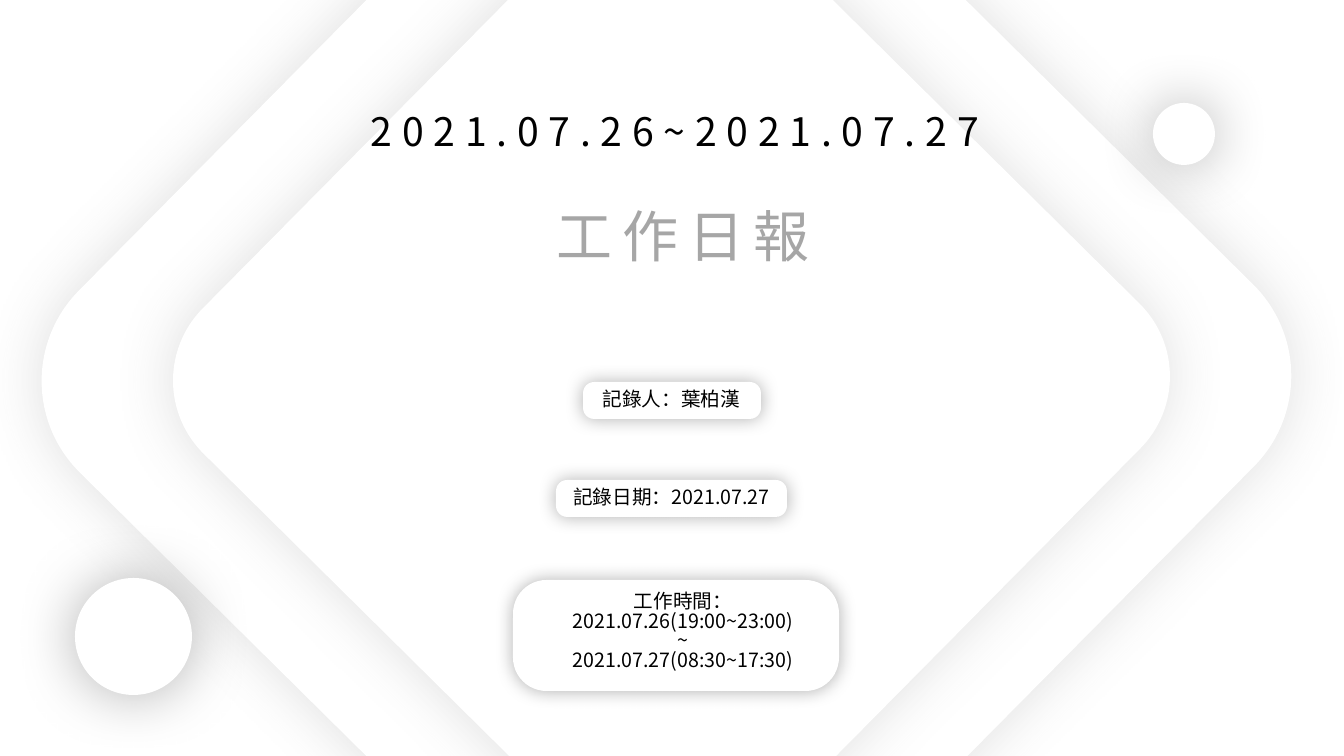
from lxml import etree
from pptx import Presentation
from pptx.dml.color import RGBColor
from pptx.enum.shapes import MSO_SHAPE
from pptx.enum.text import MSO_ANCHOR, MSO_AUTO_SIZE, PP_ALIGN
from pptx.oxml.ns import qn
from pptx.util import Pt

ROUNDED, OVAL = MSO_SHAPE.ROUNDED_RECTANGLE, MSO_SHAPE.OVAL
TOP, CENTER = MSO_ANCHOR.TOP, PP_ALIGN.CENTER
FIXED = MSO_AUTO_SIZE.NONE

# Content: boxes are (left, top, width, height) in px
PERIOD = {"lines": ["2021.07.26~2021.07.27"], "box": (308, 107, 734, 57)}
HEADING = {"lines": ["工作日報"], "box": (444, 203, 479, 78)}
CARDS = [
    {"panel": (583, 382, 178, 37), "box": (566, 384, 211, 34),
     "lines": ["記錄人：葉柏漢"]},
    {"panel": (556, 480, 231, 37), "box": (550, 482, 243, 34),
     "lines": ["記錄日期：2021.07.27"]},
    {"panel": (513, 580, 326, 111), "box": (516, 586, 334, 105),
     "lines": ["工作時間：", "2021.07.26(19:00~23:00)", "~",
               "2021.07.27(08:30~17:30)"]},
]
DIAMONDS = [(187, -101, 959, 959), (289, -4, 765, 765)]
DISCS = [(75, 578, 117, 117), (1153, 103, 62, 62)]

COLORS = {"white": "FFFFFF", "black": "000000", "grey": "A6A6A6",
          "smoke": "595959"}
FONT = "Noto Sans CJK SC"
LINE_SPACING = 0.83
SLIDE_SIZE = (1344, 756)
EMU_PER_PX = 914400 / 100.8


def px(length):
    return round(length * EMU_PER_PX)


def color(name):
    return RGBColor.from_string(COLORS[name])


def place(shape, box):
    for side, length in zip(("left", "top", "width", "height"), box):
        setattr(shape, side, px(length))


def add_glow(shape, shade, opacity, blur):
    shape.shadow.inherit = False
    effects = shape._element.spPr.find(qn("a:effectLst"))
    shadow = etree.SubElement(effects, qn("a:outerShdw"), blurRad=str(Pt(blur)),
                              dist="0", dir="0", algn="ctr", rotWithShape="0")
    tint = etree.SubElement(shadow, qn("a:srgbClr"), val=COLORS[shade])
    etree.SubElement(tint, qn("a:alpha"), val=str(opacity * 1000))


def add_plate(shapes, kind, box, glow, corner=None, rotation=0):
    plate = shapes.add_shape(kind, *map(px, box))
    plate.rotation = rotation
    if corner is not None:
        plate.adjustments[0] = corner
    plate.fill.solid()
    plate.fill.fore_color.rgb = color("white")
    plate.line.fill.background()
    add_glow(plate, *glow)


def write(shape, lines, size, ink="black", tracking=0):
    frame = shape.text_frame
    frame_format = {"word_wrap": True, "auto_size": FIXED,
                    "vertical_anchor": TOP, "margin_left": px(10),
                    "margin_right": px(10), "margin_bottom": px(5),
                    "margin_top": px(5 + round(size * 0.12))}
    for name, value in frame_format.items():
        setattr(frame, name, value)
    for index, line in enumerate(lines):
        para = frame.add_paragraph() if index else frame.paragraphs[0]
        para_format = {"alignment": CENTER, "line_spacing": LINE_SPACING,
                       "space_before": Pt(0), "space_after": Pt(0)}
        for name, value in para_format.items():
            setattr(para, name, value)
        span = para.add_run()
        span.text = line
        for name, value in {"name": FONT, "size": Pt(size), "bold": False}.items():
            setattr(span.font, name, value)
        span.font.color.rgb = color(ink)
        props = span._r.get_or_add_rPr()
        props.set("spc", str(tracking * 100))
        etree.SubElement(props, qn("a:ea"), typeface=FONT)


def main():
    deck = Presentation()
    deck.slide_width, deck.slide_height = map(px, SLIDE_SIZE)
    page = deck.slides.add_slide(deck.slide_layouts[0])
    shapes = page.shapes
    page.background.fill.solid()
    page.background.fill.fore_color.rgb = color("white")

    # Large diamonds behind everything
    for box in DIAMONDS:
        add_plate(shapes, ROUNDED, box, ("smoke", 19, 43), 0.134, 44.7)

    # Reporting period and heading, raised above the diamonds
    subtitle, title = page.placeholders[1], shapes.title
    for holder, entry, size, ink in ((subtitle, PERIOD, 28, "black"),
                                     (title, HEADING, 40, "grey")):
        place(holder, entry["box"])
        write(holder, entry["lines"], size, ink, tracking=7)
        holder._element.getparent().append(holder._element)

    # Floating discs
    for box in DISCS:
        add_plate(shapes, OVAL, box, ("black", 30, 43))

    # Record cards
    for card in CARDS:
        group = shapes.add_group_shape()
        add_plate(group.shapes, ROUNDED, card["panel"], ("black", 30, 13), 0.302)
        label = group.shapes.add_textbox(*map(px, card["box"]))
        write(label, card["lines"], 14)

    deck.save("out.pptx")


if __name__ == "__main__":
    main()
